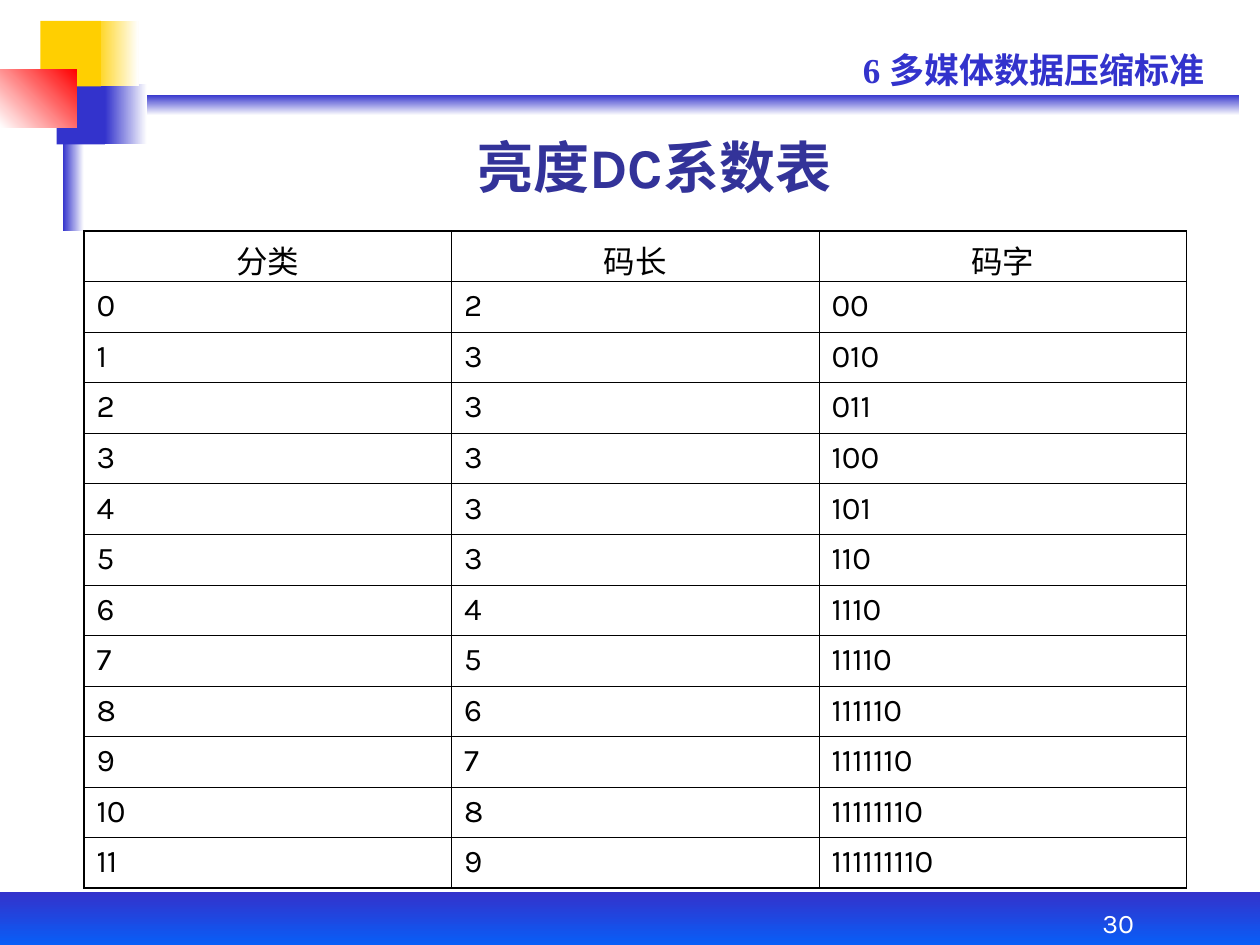
import pptx
import pptx.dml.color
import pptx.enum.shapes
import pptx.enum.text
import pptx.oxml.ns
import pptx.util
from lxml import etree

ALIGN = pptx.enum.text.PP_ALIGN
ANCHOR = pptx.enum.text.MSO_ANCHOR
COLS, ROWS = 120, 90  # grid units of 1/12 inch
BLUE, GOLD, WHITE = "3333CC", "FFCF01", "FFFFFF"
HEADS = ["分类", "码长", "码字"]
CODES = ["00", "010", "011", "100", "101", "110", "1110", "11110",
         "111110", "1111110", "11111110", "111111110"]


def unit(n):
    return pptx.util.Inches(n / 12)


def color(code):
    return pptx.dml.color.RGBColor.from_string(code)


def within(box, x, y, w, h):
    """Place a part, in grid units, relative to the corner of a box."""
    return box[0] + x, box[1] + y, w, h


def write(frame, text, size=18, font="Karla", ink="000000", bold=False,
          align=ALIGN.LEFT, anchor=ANCHOR.TOP, wrap=True):
    frame.word_wrap = wrap
    frame.vertical_anchor = anchor
    para = frame.paragraphs[0]
    para.alignment = align
    run = para.add_run()
    run.text = text
    run.font.size = pptx.util.Pt(size)
    run.font.name = font
    run.font.bold = bold
    run.font.color.rgb = color(ink)


def label(slide, box, text, **form):
    shape = slide.shapes.add_textbox(*map(unit, box))
    write(shape.text_frame, text, **form)


def block(slide, box, start, end=None, angle=0):
    """Draw a plain block, or one fading from start to end."""
    kind = pptx.enum.shapes.MSO_SHAPE.RECTANGLE
    shape = slide.shapes.add_shape(kind, *map(unit, box))
    shape.shadow.inherit = False
    shape.line.fill.background()
    if end is None:
        shape.fill.solid()
        shape.fill.fore_color.rgb = color(start)
        return
    shape.fill.gradient()
    shape.fill.gradient_angle = angle
    for stop, code in zip(shape.fill.gradient_stops, (start, end)):
        stop.color.rgb = color(code)


def corner(slide, box):
    """Draw the overlapping squares and the bars that run from them."""
    parts = [
        ((7, 7, 111, 2), BLUE, WHITE, 270),
        ((10, 6, 4, 5.76), BLUE, WHITE, 0),
        ((6, 5, 2, 15), BLUE, WHITE, 0),
        ((5.4, 6, 4.6, 5.76), BLUE),
        ((8.88, 0, 4.32, 6.24), GOLD, WHITE, 0),
        ((3.84, 0, 5.76, 6.24), GOLD),
        ((0, 4.6, 7.32, 5.52), WHITE, "FF0000", 45),
    ]
    for place, *paint in parts:
        block(slide, within(box, *place), *paint)


def footer(slide, box):
    block(slide, box, BLUE, "0066FF", 270)
    label(slide, within(box, 97, 0, 19, 5), "30", size=15.3, ink=WHITE,
          align=ALIGN.CENTER, anchor=ANCHOR.BOTTOM)


def header(slide, box):
    label(slide, within(box, 38.16, 0, 36, 5.28), "6 多媒体数据压缩标准",
          size=20, font="Times New Roman", ink=BLUE, bold=True)
    label(slide, within(box, 0, 8, 39, 7.68), "亮度DC系数表", size=32,
          ink="333399", bold=True, align=ALIGN.CENTER, wrap=False)


def border(cell, side, width):
    props = cell._tc.get_or_add_tcPr()
    name = pptx.oxml.ns.qn
    line = etree.SubElement(props, name("a:ln" + side),
                            w=str(int(pptx.util.Pt(width))))
    fill = etree.SubElement(line, name("a:solidFill"))
    etree.SubElement(fill, name("a:srgbClr"), val="000000")


def codes(slide, box):
    lengths = [2, 3, 3, 3, 3, 3, 4, 5, 6, 7, 8, 9]
    data = [HEADS] + [[str(i), str(n), code]
                      for i, (n, code) in enumerate(zip(lengths, CODES))]
    high, wide = len(data), len(HEADS)
    table = slide.shapes.add_table(high, wide, *map(unit, box)).table
    table.first_row = table.horz_banding = False
    for col in table.columns:
        col.width = unit(box[2] / wide)
    for i, row in enumerate(data):
        table.rows[i].height = unit(box[3] / high)
        for j, text in enumerate(row):
            cell = table.cell(i, j)
            edges = {"L": j == 0, "R": j == wide - 1,
                     "T": i == 0, "B": i == high - 1}
            for side, outer in edges.items():
                border(cell, side, 1.08 if outer else 0.45)
            cell.fill.background()
            write(cell.text_frame, text,
                  align=ALIGN.LEFT if i else ALIGN.CENTER)


def main():
    deck = pptx.Presentation()
    deck.slide_width, deck.slide_height = unit(COLS), unit(ROWS)
    slide = deck.slides.add_slide(deck.slide_layouts[6])
    corner(slide, (0, 2, 118, 20))
    footer(slide, (0, 85, COLS, 6))
    header(slide, (42.84, 4, 74.16, 15.68))
    codes(slide, (8, 22, 105, 62.64))
    deck.save("out.pptx")


if __name__ == "__main__":
    main()
